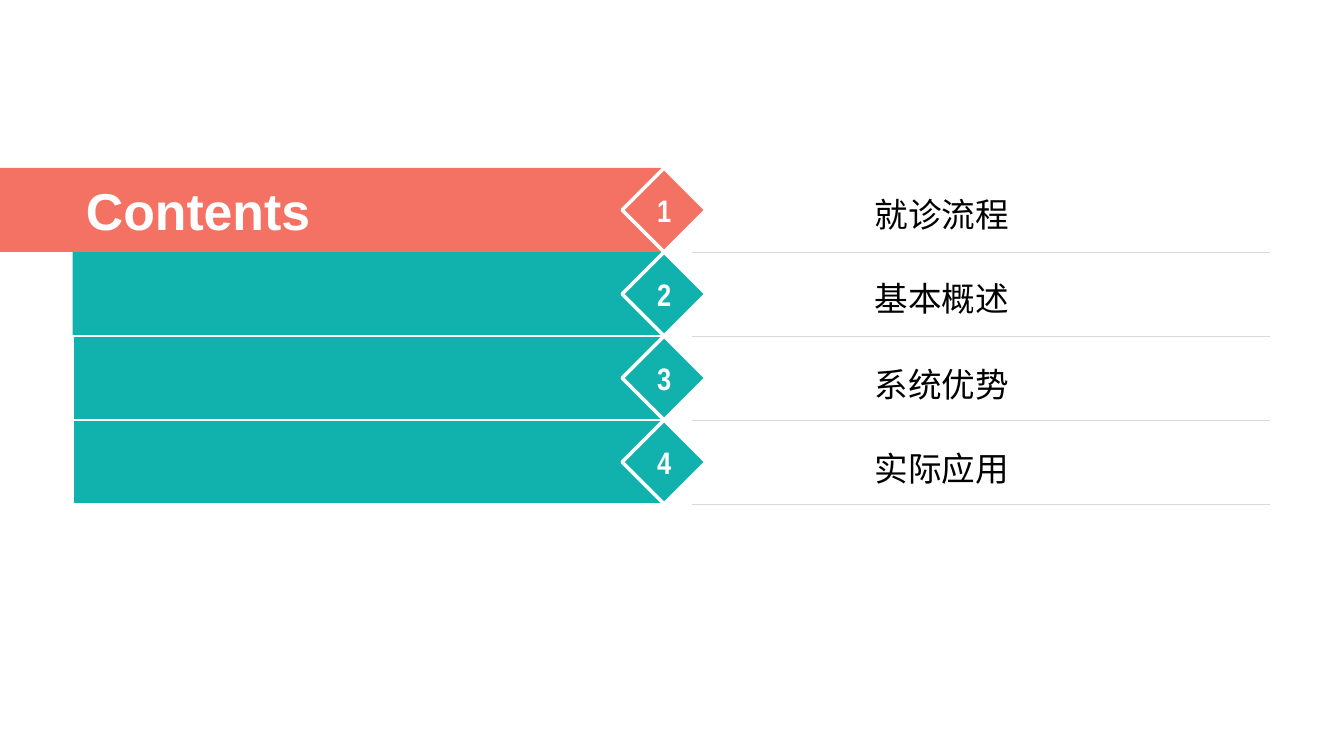
from dataclasses import dataclass

from lxml.etree import SubElement
from pptx import Presentation
from pptx.dml.color import RGBColor
from pptx.enum.shapes import MSO_CONNECTOR, MSO_SHAPE
from pptx.enum.text import MSO_ANCHOR, PP_ALIGN
from pptx.oxml.ns import qn
from pptx.util import Inches, Pt


@dataclass(frozen=True)
class Theme:
    coral: str = "F47264"
    teal: str = "11B2AE"
    white: str = "FFFFFF"
    black: str = "000000"
    rule: str = "D9D9D9"
    font: str = "Arial"
    number_font: str = "Arial Narrow"
    title_size: float = 37
    label_size: float = 24
    number_size: float = 22.2


THEME = Theme()
ROW_HEIGHT = 5 / 6
ROW_TOP = 2 * ROW_HEIGHT
BAR_RIGHT = 6.59
ROWS = [("就诊流程", 1.2), ("基本概述", 1.2), ("系统优势", 1.3), ("实际应用", 1.3)]


def row_y(row):
    return ROW_TOP + row * ROW_HEIGHT


def row_color(row):
    return THEME.teal if row else THEME.coral


def add_block(s, kind, left, top, width, height, fill, border=0):
    sp = s.shapes.add_shape(kind, Inches(left), Inches(top), Inches(width), Inches(height))
    sp.shadow.inherit = False
    sp.fill.solid()
    sp.fill.fore_color.rgb = RGBColor.from_string(fill)
    if border:
        sp.line.color.rgb = RGBColor.from_string(THEME.white)
        sp.line.width = Pt(border)
    else:
        sp.line.fill.background()
    return sp


def write(sp, text, size, color, font=THEME.font, bold=False, spacing=1.0):
    tf = sp.text_frame
    tf.word_wrap = True
    tf.vertical_anchor = MSO_ANCHOR.MIDDLE
    tf.margin_left = tf.margin_right = tf.margin_top = tf.margin_bottom = 0
    p = tf.paragraphs[0]
    p.alignment = PP_ALIGN.CENTER
    p.line_spacing = spacing
    r = p.add_run()
    r.text = text
    r.font.name = font
    r.font.size = Pt(size)
    r.font.bold = bold
    r.font.color.rgb = RGBColor.from_string(color)


def add_bar(s, row):
    left = 0.72 if row else 0
    border = 1.5 if row > 1 else 0
    add_block(s, MSO_SHAPE.RECTANGLE, left, row_y(row), BAR_RIGHT - left, ROW_HEIGHT,
              row_color(row), border)


def add_number(s, row):
    sp = add_block(s, MSO_SHAPE.DIAMOND, 6.17, row_y(row), ROW_HEIGHT, ROW_HEIGHT,
                   row_color(row), 2.5)
    write(sp, str(row + 1), THEME.number_size, THEME.white, THEME.number_font, bold=True)


def add_label(s, row, text, spacing):
    sp = add_block(s, MSO_SHAPE.RECTANGLE, 7.01, row_y(row) + 0.09, 4.66, 0.65, THEME.white)
    write(sp, text, THEME.label_size, THEME.black, spacing=spacing)


def add_title(s, text):
    sp = s.shapes.add_textbox(Inches(0.71), Inches(ROW_TOP), Inches(2.51), Inches(ROW_HEIGHT))
    write(sp, text, THEME.title_size, THEME.white, bold=True)


def add_rule(s, row):
    y = Inches(row_y(row + 1))
    line = s.shapes.add_connector(MSO_CONNECTOR.STRAIGHT, Inches(6.86), y, Inches(12.6), y)
    line.line.color.rgb = RGBColor.from_string(THEME.rule)
    line.line.width = Pt(0.25)
    SubElement(line._element.spPr, qn("a:effectLst"))


def main():
    prs = Presentation()
    prs.slide_width, prs.slide_height = Inches(13.33), Inches(7.5)
    s = prs.slides.add_slide(prs.slide_layouts[6])
    rows = range(len(ROWS))
    for row in rows:
        add_bar(s, row)
    for row in reversed(rows):
        add_number(s, row)
    for row, (text, spacing) in enumerate(ROWS):
        add_label(s, row, text, spacing)
    add_title(s, "Contents")
    for row in rows:
        add_rule(s, row)
    prs.save("out.pptx")


if __name__ == "__main__":
    main()
